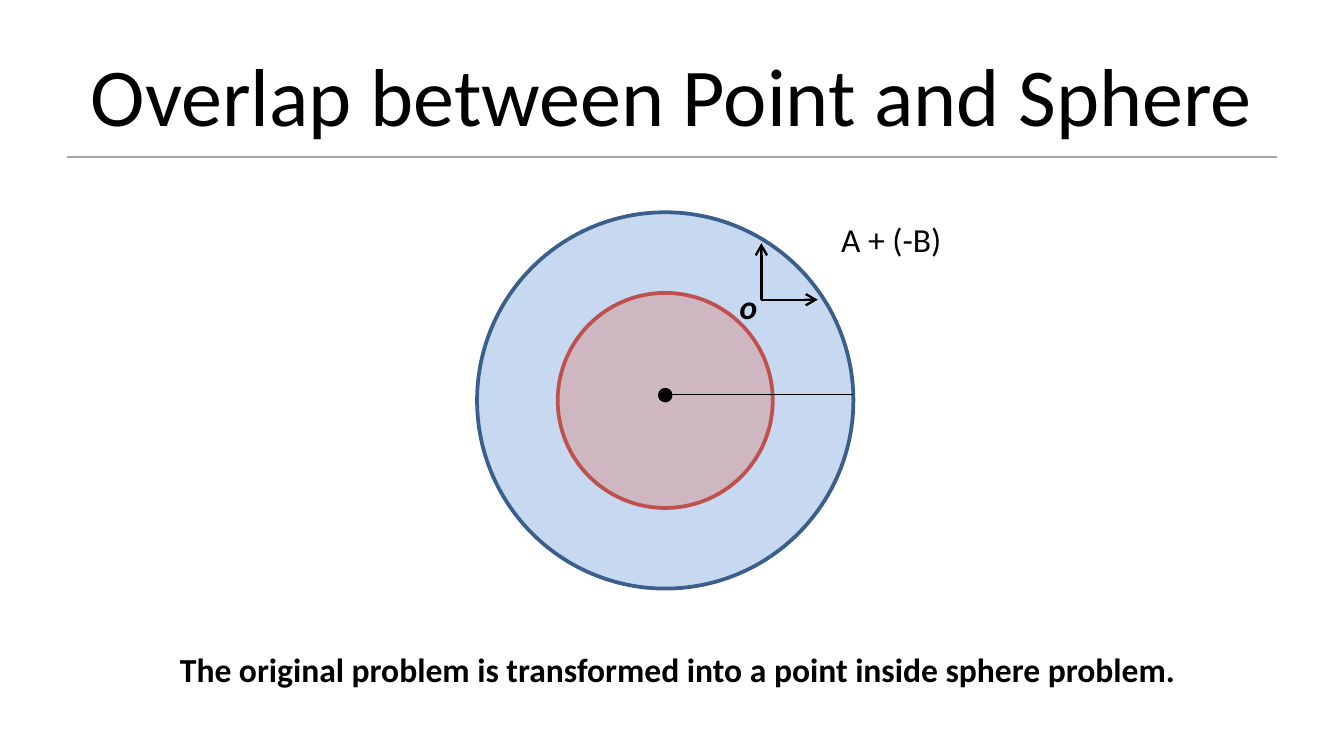
from dataclasses import dataclass

from lxml import etree
from pptx import Presentation
from pptx.dml.color import RGBColor
from pptx.enum.shapes import MSO_CONNECTOR, MSO_SHAPE
from pptx.enum.text import MSO_ANCHOR, PP_ALIGN
from pptx.oxml.ns import qn
from pptx.slide import Slide
from pptx.util import Pt

PX = 4572
PAGE_WIDTH, PAGE_HEIGHT = 2000, 1125
FONT = "Calibri"

OVAL = MSO_SHAPE.OVAL
STRAIGHT = MSO_CONNECTOR.STRAIGHT
LEFT, CENTER = PP_ALIGN.LEFT, PP_ALIGN.CENTER
TOP, MIDDLE = MSO_ANCHOR.TOP, MSO_ANCHOR.MIDDLE

BLACK = RGBColor(0x00, 0x00, 0x00)
GRAY = RGBColor(0xA6, 0xA6, 0xA6)
LIGHT_BLUE = RGBColor(0x8E, 0xB4, 0xE3)
DARK_BLUE = RGBColor(0x3A, 0x5F, 0x8C)
PINK = RGBColor(0xD9, 0x96, 0x94)
RED = RGBColor(0xC0, 0x50, 0x4D)


@dataclass(frozen=True)
class Circle:
    center_x: int
    center_y: int
    radius: int
    fill: RGBColor
    outline: RGBColor
    opacity: int = 100


@dataclass(frozen=True)
class Line:
    start: tuple[int, int]
    end: tuple[int, int]
    color: RGBColor
    width: float
    arrow: bool = False


@dataclass(frozen=True)
class Label:
    text: str
    left: int
    top: int
    width: int
    height: int
    size: int = 18
    bold: bool = False
    italic: bool = False
    wrap: bool = False
    align: PP_ALIGN = LEFT
    anchor: MSO_ANCHOR = TOP


ORIGIN = (1133, 446)
PARTS = [
    Circle(990, 596, 280, LIGHT_BLUE, DARK_BLUE, 50),
    Circle(990, 596, 160, PINK, RED, 50),
    Label("Overlap between Point and Sphere", 100, 46, 1800, 188, size=44,
          wrap=True, align=CENTER, anchor=MIDDLE),
    Line(ORIGIN, (1133, 362), BLACK, 1.25, True),
    Line(ORIGIN, (1217, 446), BLACK, 1.25, True),
    Circle(990, 588, 8, BLACK, BLACK),
    Line((100, 234), (1900, 234), GRAY, 1),
    Line((990, 587), (1270, 587), BLACK, 0.75),
    Label("A + (-B)", 1232, 316, 192, 80),
    Label("The original problem is transformed into a point inside sphere problem.",
          248, 956, 1522, 80, bold=True, wrap=True),
    Label("o", 1081, 416, 68, 80, bold=True, italic=True),
]


def draw_circle(page: Slide, circle: Circle) -> None:
    diameter = 2 * circle.radius * PX
    shape = page.shapes.add_shape(
        OVAL, (circle.center_x - circle.radius) * PX,
        (circle.center_y - circle.radius) * PX, diameter, diameter)
    shape.shadow.inherit = False
    shape.fill.solid()
    shape.fill.fore_color.rgb = circle.fill
    shape.line.color.rgb = circle.outline
    shape.line.width = Pt(2)
    if circle.opacity < 100:
        color = shape.fill._xPr.find(qn("a:solidFill"))[0]
        etree.SubElement(color, qn("a:alpha"), val=str(circle.opacity * 1000))


def draw_line(page: Slide, line: Line) -> None:
    points = [value * PX for value in line.start + line.end]
    connector = page.shapes.add_connector(STRAIGHT, *points)
    connector.line.color.rgb = line.color
    connector.line.width = Pt(line.width)
    if line.arrow:
        etree.SubElement(connector.line._get_or_add_ln(), qn("a:tailEnd"), type="arrow")
    etree.SubElement(connector._element.spPr, qn("a:effectLst"))


def draw_label(page: Slide, label: Label) -> None:
    box = page.shapes.add_textbox(
        label.left * PX, label.top * PX, label.width * PX, label.height * PX)
    frame = box.text_frame
    frame.word_wrap = label.wrap
    frame.vertical_anchor = label.anchor
    para = frame.paragraphs[0]
    para.text = label.text
    para.alignment = label.align
    para.font.name = FONT
    para.font.size = Pt(label.size)
    para.font.bold = label.bold
    para.font.italic = label.italic
    para.font.color.rgb = BLACK


DRAWERS = {Circle: draw_circle, Line: draw_line, Label: draw_label}


def main() -> None:
    deck = Presentation()
    deck.slide_width, deck.slide_height = PAGE_WIDTH * PX, PAGE_HEIGHT * PX
    page = deck.slides.add_slide(deck.slide_layouts[6])
    for part in PARTS:
        DRAWERS[type(part)](page, part)
    deck.save("out.pptx")


if __name__ == "__main__":
    main()
